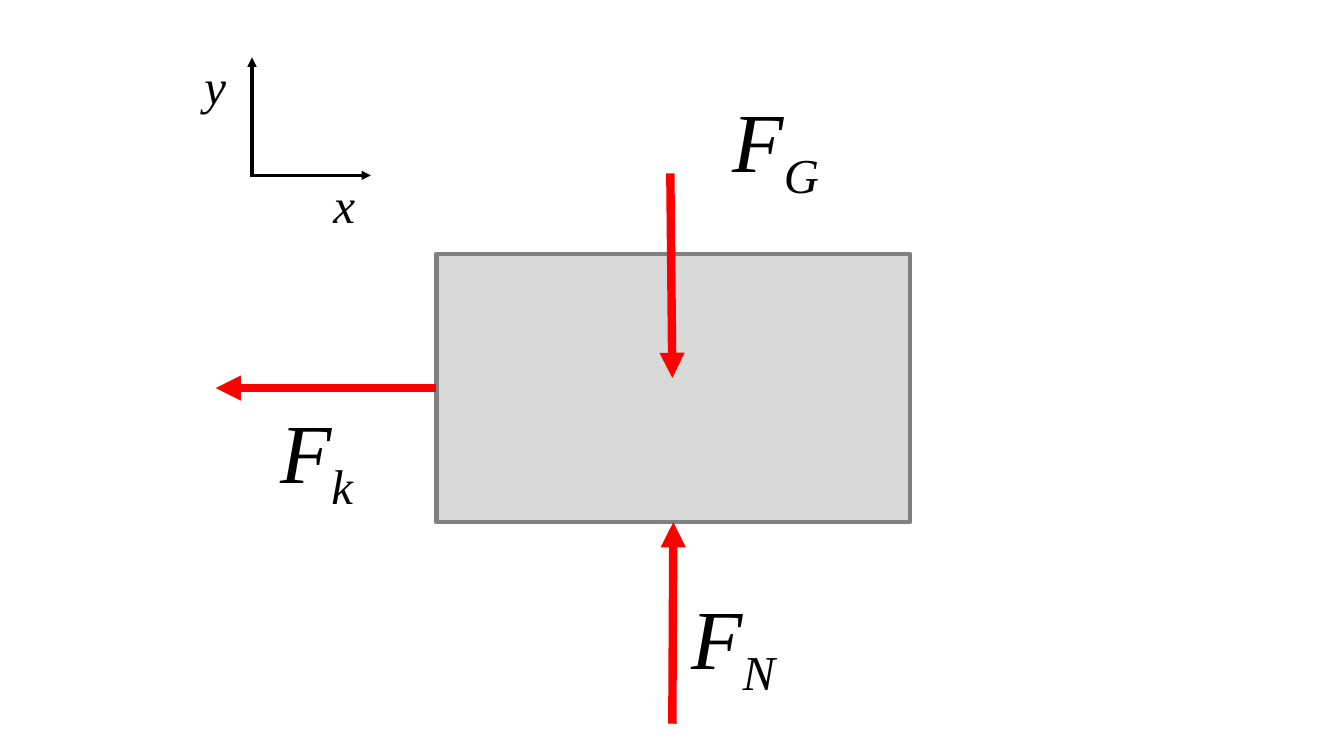
"""Draw the free-body diagram of a block with its forces and axes."""
from dataclasses import dataclass
from typing import Optional

from lxml import etree
from pptx import Presentation
from pptx.dml.color import RGBColor
from pptx.enum.shapes import MSO_CONNECTOR, MSO_SHAPE
from pptx.enum.text import MSO_AUTO_SIZE
from pptx.oxml.ns import qn
from pptx.util import Inches, Pt

RECT = MSO_SHAPE.RECTANGLE
LINE = MSO_CONNECTOR.STRAIGHT
GROW = MSO_AUTO_SIZE.SHAPE_TO_FIT_TEXT
LEFT, BOTTOM = 1, 3 - 1
CELL = 0.1


@dataclass(frozen=True)
class Theme:
    face: str = "Times New Roman"
    ink: RGBColor = RGBColor(0, 0, 0)
    force: RGBColor = RGBColor(255, 0, 0)
    fill: RGBColor = RGBColor(217, 217, 217)
    edge: RGBColor = RGBColor(128, 128, 128)
    big: float = 60
    small: float = 35
    rim: float = 3
    thick: float = 6
    thin: float = 2.25


@dataclass(frozen=True)
class Arrow:
    start: tuple[float, float]
    end: tuple[float, float]
    color: RGBColor
    width: float
    tail: Optional[int] = None
    head: Optional[int] = None


@dataclass(frozen=True)
class Label:
    col: float
    row: float
    cols: float
    rows: float
    text: str
    size: float
    sub: str = ""


THEME = Theme()
ARROWS = (
    Arrow((66.5, 17.2), (66.7, 37.5), THEME.force, THEME.thick),
    Arrow((66.7, 71.8), (66.5, 51.8), THEME.force, THEME.thick, head=BOTTOM),
    Arrow((43.3, 38.5), (21.4, 38.5), THEME.force, THEME.thick, tail=LEFT),
    Arrow((25, 17.4), (36.8, 17.4), THEME.ink, THEME.thin),
    Arrow((25, 17.6), (25, 5.7), THEME.ink, THEME.thin),
)
LABELS = (
    Label(67.6, 57.6, 10.9, 11.1, "F", THEME.big, "N"),
    Label(71.7, 8.3, 11.2, 11.1, "F", THEME.big, "G"),
    Label(26.8, 39.1, 9.6, 11.1, "F", THEME.big, "k"),
    Label(32.1, 16.8, 4.2, 6.9, "x", THEME.small),
    Label(19.3, 5, 4.2, 6.9, "y", THEME.small),
)


def grid(*cells: float) -> list[int]:
    """Turn grid cells into slide lengths."""
    return [Inches(cell * CELL) for cell in cells]


def add_block(slide):
    """Draw the grey block."""
    block = slide.shapes.add_shape(RECT, *grid(43.3, 25.2, 47, 26.6))
    block.shadow.inherit = False
    block.fill.solid()
    block.fill.fore_color.rgb = THEME.fill
    block.line.color.rgb = THEME.edge
    block.line.width = Pt(THEME.rim)
    return block


def add_arrow(slide, arrow: Arrow, block) -> None:
    """Draw one arrow and join it to the block where it touches."""
    link = slide.shapes.add_connector(LINE, *grid(*arrow.start, *arrow.end))
    if arrow.tail is not None:
        link.begin_connect(block, arrow.tail)
    if arrow.head is not None:
        link.end_connect(block, arrow.head)
    link.line.color.rgb = arrow.color
    link.line.width = Pt(arrow.width)
    props = link._element.spPr
    etree.SubElement(props.find(qn("a:ln")), qn("a:tailEnd"), type="triangle")
    etree.SubElement(props, qn("a:effectLst"))


def add_label(slide, label: Label) -> None:
    """Write one symbol with its subscript."""
    box = slide.shapes.add_textbox(
        *grid(label.col, label.row, label.cols, label.rows))
    frame = box.text_frame
    frame.word_wrap = False
    frame.auto_size = GROW
    style = {"name": THEME.face, "size": Pt(label.size), "italic": True}
    for text, base in ((label.text, 0), (label.sub, -25000)):
        if not text:
            continue
        run = frame.paragraphs[0].add_run()
        run.text = text
        for key, value in style.items():
            setattr(run.font, key, value)
        run.font.color.rgb = THEME.ink
        if base:
            run._r.get_or_add_rPr().set("baseline", str(base))


def main() -> None:
    """Build the slide and save it."""
    deck = Presentation()
    deck.slide_width, deck.slide_height = grid(133.33, 75)
    slide = deck.slides.add_slide(deck.slide_layouts[6])
    block = add_block(slide)
    for arrow in ARROWS:
        add_arrow(slide, arrow, block)
    for label in LABELS:
        add_label(slide, label)
    deck.save("out.pptx")


if __name__ == "__main__":
    main()
